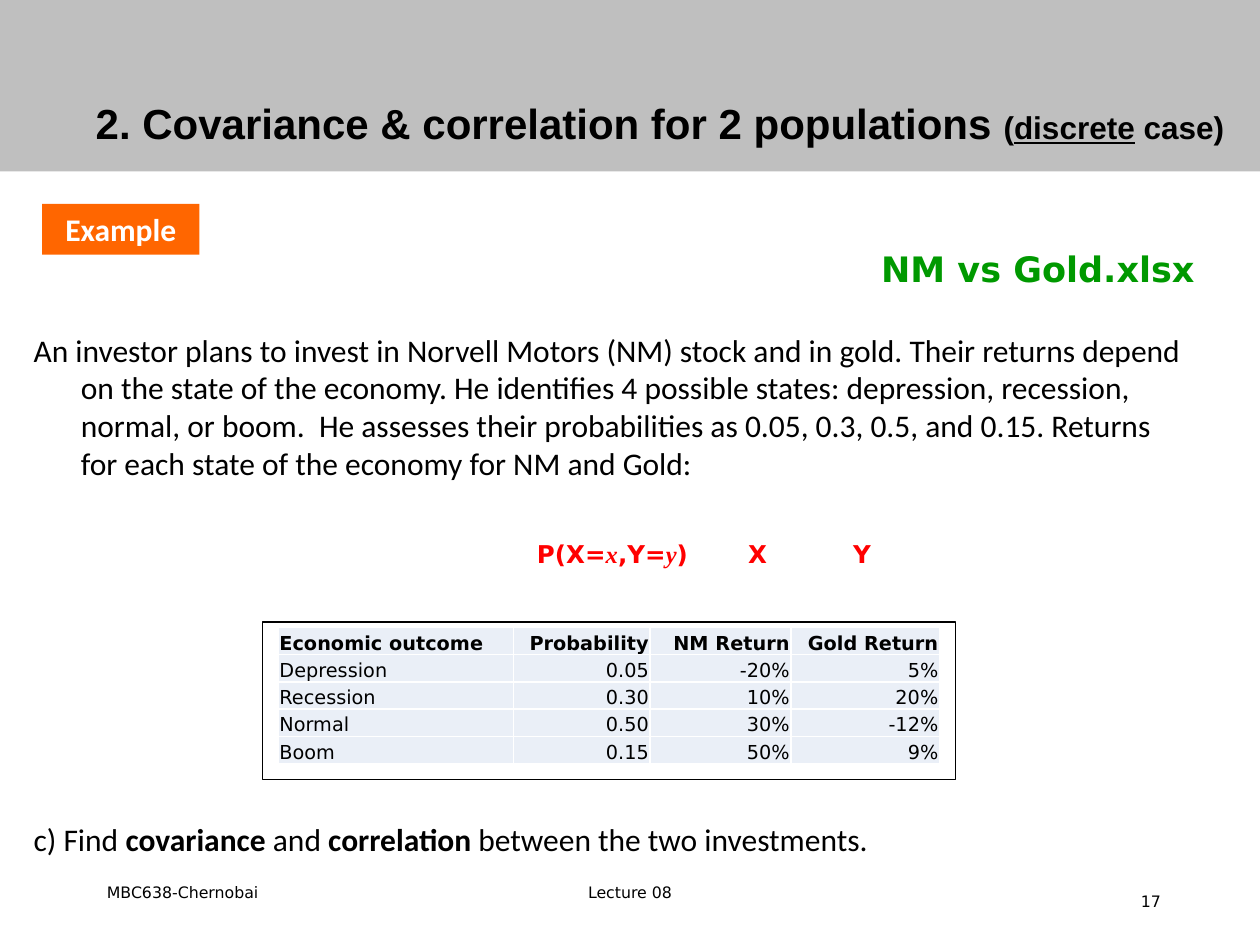
from dataclasses import dataclass

from lxml.etree import SubElement
from pptx import Presentation
from pptx.dml.color import RGBColor
from pptx.enum.shapes import MSO_SHAPE
from pptx.enum.text import MSO_ANCHOR, MSO_AUTO_SIZE, PP_ALIGN
from pptx.oxml.ns import qn
from pptx.util import Pt


@dataclass(frozen=True)
class Theme:
    # Fonts
    head: str = "Arial"
    body: str = "Calibri"
    label: str = "DejaVu Sans"
    math: str = "Times New Roman"
    # Colours
    black: str = "000000"
    white: str = "FFFFFF"
    gray: str = "BFBFBF"
    orange: str = "FF6600"
    green: str = "009900"
    red: str = "FF0000"
    pale: str = "EAEFF7"
    # Type sizes
    title: int = 24
    file: int = 20
    text: int = 18
    symbol: int = 14
    cell: int = 11
    foot: int = 9


class Deck:
    def __init__(self, theme):
        self.theme = theme
        self.show = Presentation()
        self.show.slide_width, self.show.slide_height = Pt(720), Pt(540)
        self.slide = self.show.slides.add_slide(self.show.slide_layouts[1])

    def runs(self, para, parts, font, size, color=None, bold=False):
        """Add runs; each part is text or (text, changed font settings)."""
        for part in parts:
            text, extra = (part, {}) if isinstance(part, str) else part
            run = para.add_run()
            run.text = text
            look = {"name": font, "size": size, "bold": bold, **extra}
            look["size"] = Pt(look["size"])
            for key, value in look.items():
                setattr(run.font, key, value)
            run.font.color.rgb = RGBColor.from_string(color or self.theme.black)

    def frame(self, shape, anchor=MSO_ANCHOR.TOP):
        frame = shape.text_frame
        frame.word_wrap = True
        frame.auto_size = MSO_AUTO_SIZE.NONE
        frame.vertical_anchor = anchor
        return frame

    def place(self, shape, box):
        shape.left, shape.top, shape.width, shape.height = map(Pt, box)

    def title(self, box, parts):
        shape = self.slide.shapes.title
        self.place(shape, box)
        para = self.frame(shape, MSO_ANCHOR.MIDDLE).paragraphs[0]
        para.alignment, para.line_spacing = PP_ALIGN.LEFT, 0.9
        self.runs(para, parts, self.theme.head, self.theme.title, bold=True)

    def body(self, box, items):
        """Fill the body with (gap before, alignment, parts, style) items."""
        shape = self.slide.placeholders[1]
        self.place(shape, box)
        frame = self.frame(shape)
        for i, (gap, align, parts, style) in enumerate(items):
            para = frame.add_paragraph() if i else frame.paragraphs[0]
            para.alignment, para.space_before = align, Pt(gap)
            props = para._p.get_or_add_pPr()
            props.set("marL", str(Pt(27)))
            props.set("indent", str(Pt(-27)))
            SubElement(props, qn("a:buNone"))
            self.runs(para, parts, **style)

    def text(self, box, parts, align=PP_ALIGN.LEFT, anchor=MSO_ANCHOR.MIDDLE,
             gap=0, tabs=(), **style):
        shape = self.slide.shapes.add_textbox(*map(Pt, box))
        para = self.frame(shape, anchor).paragraphs[0]
        para.alignment, para.space_before = align, Pt(gap)
        if tabs:
            stops = SubElement(para._p.get_or_add_pPr(), qn("a:tabLst"))
            for stop in tabs:
                SubElement(stops, qn("a:tab"), pos=str(Pt(stop)), algn="l")
        self.runs(para, parts, **style)

    def rect(self, box, fill=None, line=None):
        shape = self.slide.shapes.add_shape(MSO_SHAPE.RECTANGLE, *map(Pt, box))
        shape.shadow.inherit = False
        if fill:
            shape.fill.solid()
            shape.fill.fore_color.rgb = RGBColor.from_string(fill)
        else:
            shape.fill.background()
        if line:
            shape.line.color.rgb = RGBColor.from_string(line)
            shape.line.width = Pt(0.75)
        else:
            shape.line.fill.background()
        return shape

    def tag(self, box, word):
        theme = self.theme
        para = self.frame(self.rect(box, theme.orange)).paragraphs[0]
        para.alignment = PP_ALIGN.CENTER
        self.runs(para, [word], theme.body, theme.text, theme.white, True)

    def border(self, cell):
        props = cell._tc.get_or_add_tcPr()
        for side in ("lnL", "lnR", "lnT", "lnB"):
            line = SubElement(props, qn(f"a:{side}"), w=str(Pt(1)))
            fill = SubElement(line, qn("a:solidFill"))
            SubElement(fill, qn("a:srgbClr"), val=self.theme.white)

    def table(self, box, widths, rows):
        theme = self.theme
        grid = self.slide.shapes.add_table(
            len(rows), len(widths), *map(Pt, box)).table
        grid.first_row = grid.horz_banding = False
        for col, width in zip(grid.columns, widths):
            col.width = Pt(width)
        for r, row in enumerate(rows):
            grid.rows[r].height = Pt(box[3] / len(rows))
            for c, word in enumerate(row):
                cell = grid.cell(r, c)
                cell.margin_left = cell.margin_right = cell.margin_top = Pt(0.7)
                cell.margin_bottom = 0
                cell.vertical_anchor = MSO_ANCHOR.BOTTOM
                self.border(cell)
                cell.fill.solid()
                cell.fill.fore_color.rgb = RGBColor.from_string(theme.pale)
                para = cell.text_frame.paragraphs[0]
                para.alignment = PP_ALIGN.RIGHT if c else PP_ALIGN.LEFT
                self.runs(para, [word], theme.label, theme.cell, bold=r == 0)


def main():
    theme = Theme()
    deck = Deck(theme)

    # Title on a gray band, which lies behind it
    deck.title((47.5, 19.5, 672.5, 104.5), [
        "2. Covariance & correlation for 2 populations ",
        ("(", {"size": theme.text}),
        ("discrete", {"size": theme.text, "underline": True}),
        (" case)", {"size": theme.text}),
    ])
    band = deck.rect((0, 0, 720, 98), theme.gray)
    deck.slide.shapes.title.element.addprevious(band.element)

    # Problem text, with room for the table before the question
    plain = {"font": theme.body, "size": theme.text}
    name = {"font": theme.label, "size": theme.file,
            "color": theme.green, "bold": True}
    strong = {"bold": True}
    deck.body((12, 138, 678, 383), [
        (1.5, PP_ALIGN.RIGHT, ["NM vs Gold.xlsx"], name),
        (23.3, PP_ALIGN.LEFT, [
            "An investor plans to invest in Norvell Motors (NM) stock and in "
            "gold. Their returns depend on the state of the economy. He "
            "identifies 4 possible states: depression, recession, normal, or "
            "boom.  He assesses their probabilities as 0.05, 0.3, 0.5, and "
            "0.15. Returns for each state of the economy for NM and Gold:",
        ], plain),
        (193.3, PP_ALIGN.LEFT, [
            "c) Find ", ("covariance", strong), " and ",
            ("correlation", strong), " between the two investments.",
        ], plain),
    ])
    deck.tag((24, 116.5, 90, 29), "Example")

    # Returns table in a frame
    deck.table((159, 358.5, 378, 78), (134.5, 78, 80.5, 85), [
        ("Economic outcome", "Probability", "NM Return", "Gold Return"),
        ("Depression", "0.05", "-20%", "5%"),
        ("Recession", "0.30", "10%", "20%"),
        ("Normal", "0.50", "30%", "-12%"),
        ("Boom", "0.15", "50%", "9%"),
    ])
    deck.rect((150, 355.5, 396, 90), line=theme.black)

    # Symbols above the number columns
    var = {"name": theme.math, "italic": True}
    deck.text((129, 304.5, 570, 46),
              ["\tP(X=", ("x", var), ",Y=", ("y", var), ")\tX\tY"],
              anchor=MSO_ANCHOR.TOP, gap=22, tabs=(170.8, 291.4, 351.4),
              font=theme.label, size=theme.symbol, color=theme.red, bold=True)

    # Footer
    for box, word, align in (
        ((54, 492, 150, 36), "MBC638-Chernobai", PP_ALIGN.LEFT),
        ((246, 492, 228, 36), "Lecture 08", PP_ALIGN.CENTER),
        ((508.5, 500.5, 162, 29), "17", PP_ALIGN.RIGHT),
    ):
        deck.text(box, [word], align, font=theme.label, size=theme.foot)

    deck.show.save("out.pptx")


if __name__ == "__main__":
    main()
